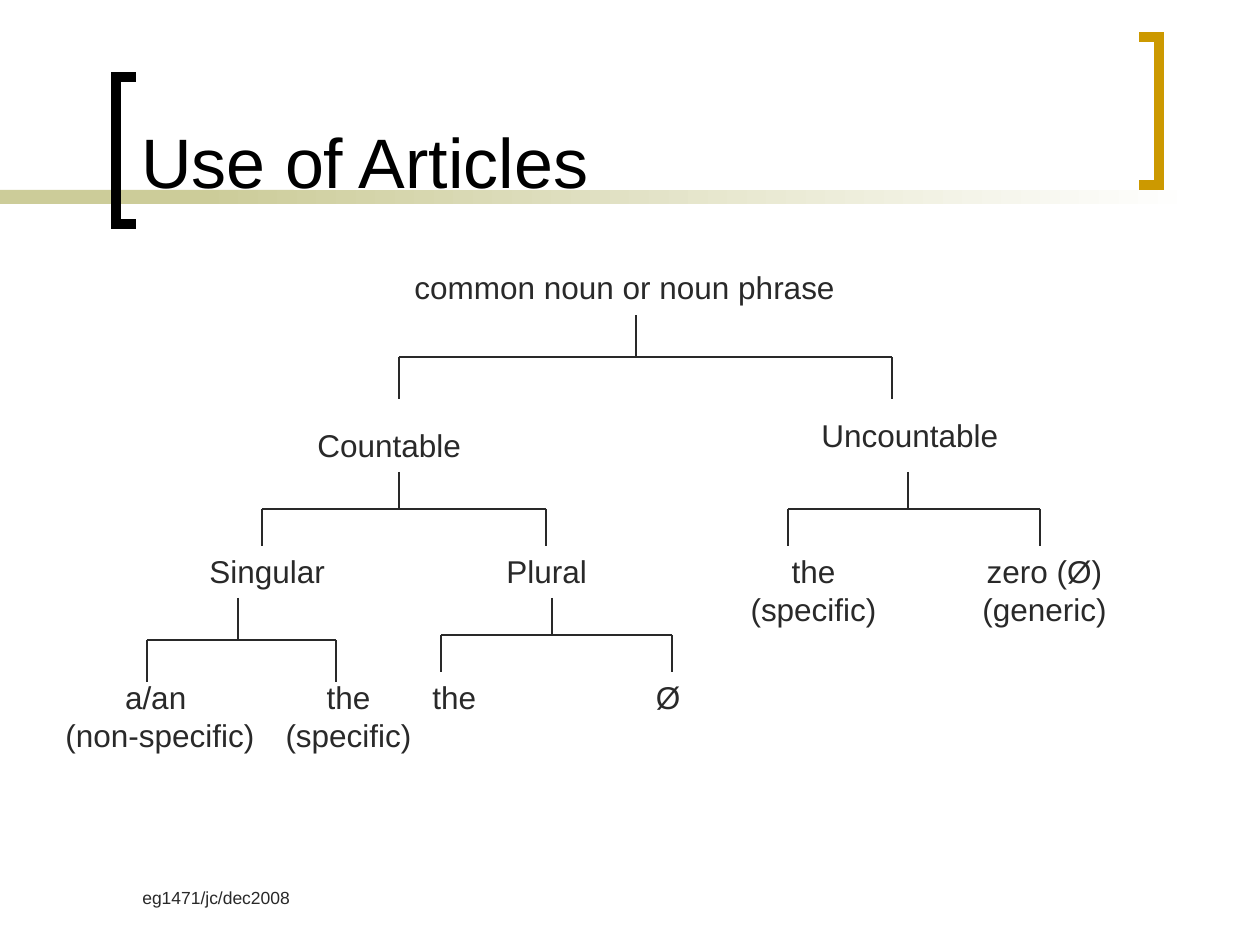
import pptx
import pptx.util
import pptx.dml.color
import pptx.enum.shapes
import pptx.enum.text
import pptx.oxml.ns
import lxml.etree

SCALE = 914400 / 126
FONT = "Arial"
COLORS = {"text": "292929", "title": "000000", "gold": "CC9900",
          "band": "CCCC99", "page": "FFFFFF"}
LEFT = pptx.enum.text.PP_ALIGN.LEFT
CENTER = pptx.enum.text.PP_ALIGN.CENTER
TOP = pptx.enum.text.MSO_ANCHOR.TOP
BOTTOM = pptx.enum.text.MSO_ANCHOR.BOTTOM


def px(value):
    return pptx.util.Emu(round(value * SCALE))


def color(name):
    return pptx.dml.color.RGBColor.from_string(COLORS[name])


def add_band(page, left, width, fade=False):
    band = page.shapes.add_shape(pptx.enum.shapes.MSO_SHAPE.RECTANGLE,
                                 px(left), px(190), px(width), px(14))
    band.shadow.inherit = False
    band.line.fill.background()
    if fade:
        band.fill.gradient()
        band.fill.gradient_angle = 0
        for stop, name, place in zip(band.fill.gradient_stops, ("band", "page"), (0, 1)):
            stop.color.rgb = color(name)
            stop.position = place
    else:
        band.fill.solid()
        band.fill.fore_color.rgb = color("band")


def add_bracket(page, tip, spine, top, bottom, name):
    builder = page.shapes.build_freeform(px(tip), px(top))
    builder.add_line_segments([(px(spine), px(top)), (px(spine), px(bottom)),
                               (px(tip), px(bottom))], close=False)
    bracket = builder.convert_to_shape()
    bracket.shadow.inherit = False
    bracket.fill.background()
    bracket.line.color.rgb = color(name)
    bracket.line.width = pptx.util.Pt(6)
    # Square corners
    lxml.etree.SubElement(bracket.line._get_or_add_ln(),
                          pptx.oxml.ns.qn("a:miter"), lim="800000")


def add_text(page, text, left, top, width, height, align=CENTER, size=18,
             name="text", anchor=TOP):
    box = page.shapes.add_textbox(px(left), px(top), px(width), px(height))
    frame = box.text_frame
    frame.word_wrap = True
    frame.vertical_anchor = anchor
    frame.text = text
    for para in frame.paragraphs:
        para.alignment = align
        for span in para.runs:
            span.font.name = FONT
            span.font.size = pptx.util.Pt(size)
            span.font.color.rgb = color(name)


def add_branch(page, stem, left, right, top, bottom):
    middle = (top + bottom) / 2
    group = page.shapes.add_group_shape()
    for x1, y1, x2, y2 in ((stem, top, stem, middle), (left, middle, right, middle),
                           (left, middle, left, bottom), (right, middle, right, bottom)):
        line = group.shapes.add_connector(pptx.enum.shapes.MSO_CONNECTOR.STRAIGHT,
                                          px(x1), px(y1), px(x2), px(y2))
        line.line.color.rgb = color("text")
        line.line.width = pptx.util.Pt(0.75)
        lxml.etree.SubElement(line._element.spPr, pptx.oxml.ns.qn("a:effectLst"))


def main():
    deck = pptx.Presentation()
    deck.slide_width, deck.slide_height = px(1260), px(945)
    page = deck.slides.add_slide(deck.slide_layouts[6])

    # Frame
    add_band(page, 0, 294)
    add_band(page, 199, 998, fade=True)
    add_bracket(page, 136, 116, 77, 224, "title")
    add_bracket(page, 1139, 1159, 37, 185, "gold")

    # Title and footer
    add_text(page, "Use of Articles", 129, 14, 987, 195, LEFT, 40, "title", BOTTOM)
    add_text(page, "eg1471/jc/dec2008", 130, 881, 262, 43, LEFT, 10)

    # Tree lines: stem, left, right, top, bottom
    for branch in ((636, 399, 892, 315, 399),
                   (399, 262, 546, 472, 546),
                   (238, 147, 336, 598, 682),
                   (552, 441, 672, 598, 672),
                   (908, 788, 1040, 472, 546)):
        add_branch(page, *branch)

    # Tree labels: text, left, top, width, height, alignment
    for label in (("common noun or noun phrase", 357, 262, 535, 50, CENTER),
                  ("Countable", 305, 420, 273, 50, LEFT),
                  ("Uncountable", 809, 410, 368, 50, LEFT),
                  ("Singular", 197, 546, 150, 50, LEFT),
                  ("Plural", 494, 546, 123, 50, LEFT),
                  ("the\n(specific)", 735, 546, 157, 88, CENTER),
                  ("zero (Ø)\n(generic)", 966, 546, 157, 88, CENTER),
                  ("a/an \n(non-specific)", 50, 672, 220, 88, CENTER),
                  ("the\n(specific)", 270, 672, 157, 88, CENTER),
                  ("the", 420, 672, 69, 50, LEFT),
                  ("Ø", 558, 672, 220, 50, CENTER)):
        add_text(page, *label)

    deck.save("out.pptx")


main()
